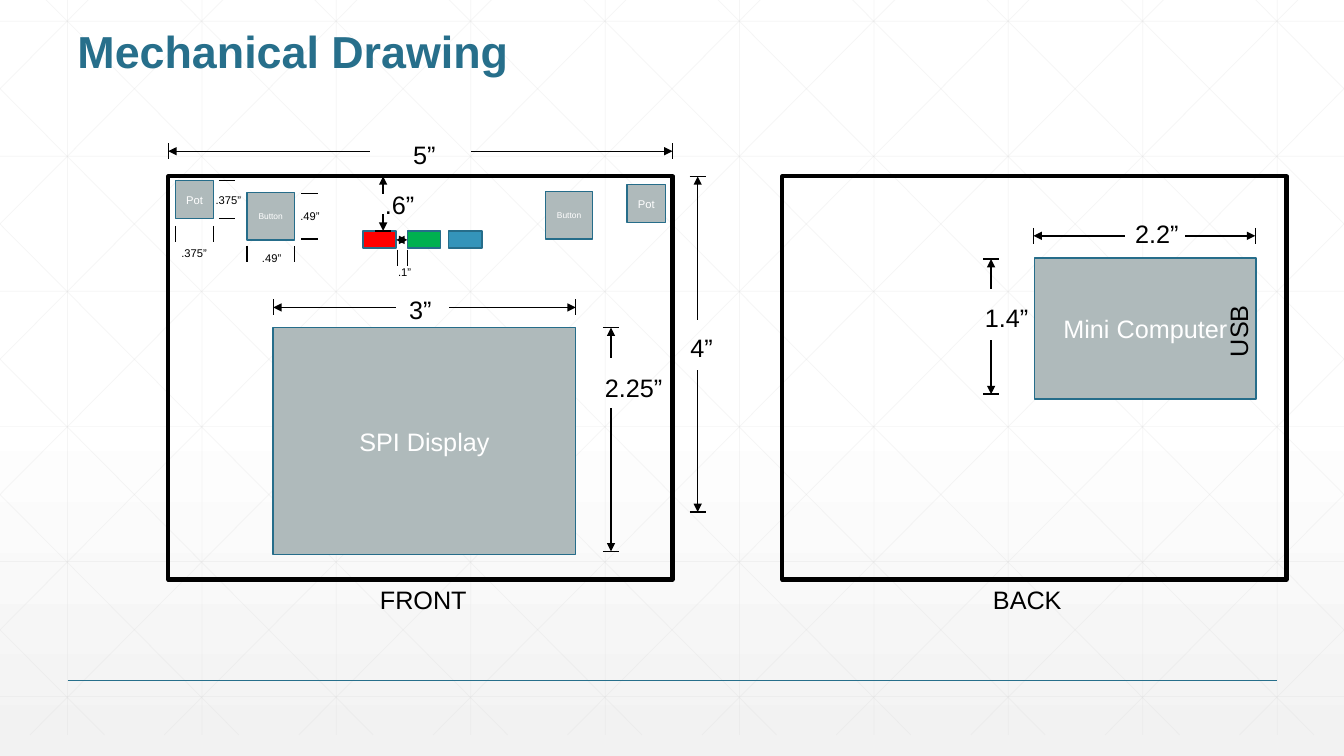
from lxml.etree import SubElement
from pptx import Presentation
from pptx.dml.color import RGBColor
from pptx.enum.shapes import MSO_CONNECTOR, MSO_SHAPE
from pptx.enum.text import MSO_ANCHOR, PP_ALIGN
from pptx.oxml.ns import qn
from pptx.util import Inches, Pt

WIDTH, HEIGHT = 13.33, 7.5
BLACK = RGBColor(0x00, 0x00, 0x00)
WHITE = RGBColor(0xFF, 0xFF, 0xFF)
PALE = RGBColor(0xF2, 0xF2, 0xF2)
GRID = RGBColor(0xD9, 0xD9, 0xD9)
TEAL = RGBColor(0x27, 0x6F, 0x8B)
EDGE = RGBColor(0x26, 0x6D, 0x8A)
PART = RGBColor(0xAF, 0xBA, 0xBB)
RED = RGBColor(0xFF, 0x00, 0x00)
GREEN = RGBColor(0x00, 0xB0, 0x50)
BLUE = RGBColor(0x34, 0x94, 0xBA)
TICK = 0.08


def add_line(slide, start, end, color=BLACK, weight=1, ends=(), opacity=None):
    """Draw a straight line, with arrowheads at the named ends."""
    line = slide.shapes.add_connector(
        MSO_CONNECTOR.STRAIGHT, *(Inches(value) for value in (*start, *end)))
    line.line.color.rgb = color
    line.line.width = Pt(weight)
    properties = line.element.spPr
    outline = properties.find(qn("a:ln"))
    if opacity is not None:
        tint = outline.find(qn("a:solidFill")).find(qn("a:srgbClr"))
        SubElement(tint, qn("a:alpha"), val=str(opacity * 1000))
    for end_name in ends:
        SubElement(outline, qn(f"a:{end_name}"), type="triangle")
    SubElement(properties, qn("a:effectLst"))


def add_run(paragraph, text, size, color, bold=False):
    """Append one run of Arial text."""
    run = paragraph.add_run()
    run.text = text
    run.font.name = "Arial"
    run.font.size = Pt(size)
    run.font.color.rgb = color
    run.font.bold = bold


def add_label(slide, text, left, top, width, size=18, rotation=0):
    """Write a one-line black label."""
    label = slide.shapes.add_textbox(
        Inches(left), Inches(top), Inches(width), Inches(0.1 + size / 60))
    label.rotation = rotation
    label.text_frame.word_wrap = False
    add_run(label.text_frame.paragraphs[0], text, size, BLACK)


def add_part(slide, left, top, width, height, text="", size=18, fill=PART):
    """Draw a mounted part with its name centred."""
    part = slide.shapes.add_shape(
        MSO_SHAPE.RECTANGLE, Inches(left), Inches(top), Inches(width), Inches(height))
    part.shadow.inherit = False
    part.fill.solid()
    part.fill.fore_color.rgb = fill
    part.line.color.rgb = EDGE
    part.line.width = Pt(1)
    if text:
        frame = part.text_frame
        frame.margin_left = frame.margin_right = 0
        frame.word_wrap = True
        frame.vertical_anchor = MSO_ANCHOR.MIDDLE
        frame.paragraphs[0].alignment = PP_ALIGN.CENTER
        add_run(frame.paragraphs[0], text, size, WHITE)


def add_outline(slide, left, top, width, height, name, name_left, name_width):
    """Draw the edge of a board with its side named below."""
    board = slide.shapes.add_shape(
        MSO_SHAPE.RECTANGLE, Inches(left), Inches(top), Inches(width), Inches(height))
    board.shadow.inherit = False
    board.fill.background()
    board.line.color.rgb = BLACK
    board.line.width = Pt(3)
    add_label(slide, name, left + name_left, top + height, name_width)


def add_dimension(slide, left, top, length, gap=None, vertical=False):
    """Mark a length by end ticks, and by arrows around a gap if one is given."""
    def place(along, across=0):
        return (left + across, top + along) if vertical else (left + along, top + across)

    for along in (0, length):
        add_line(slide, place(along, -TICK), place(along, TICK))
    if gap:
        for along, inner in zip((0, length), gap):
            add_line(slide, place(along), place(inner), ends=("headEnd",))


def add_backdrop(slide, width, height):
    """Paint the gradient and the faint grid with diagonals both ways."""
    fill = slide.background.fill
    fill.gradient()
    fill.gradient_angle = 270
    for stop, position, color in zip(fill.gradient_stops, (0.53, 1), (WHITE, PALE)):
        stop.position = position
        stop.color.rgb = color

    def grid_line(start, end):
        add_line(slide, start, end, GRID, 0.5, opacity=25)

    top, bottom, step = -0.21, height - 0.21, width / 10
    run = 7.45
    slope = height / run
    for column in range(10):
        x = 0.67 + column * step
        grid_line((x, top), (x, bottom))
    for row in range(6):
        y = 0.21 + row * 1.34
        grid_line((0, y), (width, y))
    for column in range(-5, 10):
        x = 0.25 + column * step
        first, last = max(x, 0), min(x + run, width)
        first_y, last_y = (top + (edge - x) * slope for edge in (first, last))
        grid_line((first, first_y), (last, last_y))
        grid_line((width - first, first_y), (width - last, last_y))


def add_heading(slide, left, top, width, height):
    """Write the title and draw the rule at the foot."""
    title = slide.shapes.add_textbox(
        Inches(left), Inches(top), Inches(width), Inches(height))
    title.text_frame.word_wrap = True
    paragraph = title.text_frame.paragraphs[0]
    paragraph.line_spacing = 0.9
    add_run(paragraph, "Mechanical Drawing", 32, TEAL, bold=True)
    add_line(slide, (left, top + 6.5), (left + width, top + 6.5), TEAL)


def add_front(slide, left, top, width, height):
    """Draw the front of the board: controls, lights and display."""
    add_outline(slide, left, top, width, height, "FRONT", 2, 1.07)
    for x, y, side, name, size in (
            (0.07, 0.04, 0.38, "Pot", 8), (4.55, 0.08, 0.38, "Pot", 8),
            (0.78, 0.16, 0.47, "Button", 6), (3.74, 0.15, 0.47, "Button", 6)):
        add_part(slide, left + x, top + y, side, side, name, size)
    for x, color in ((1.93, RED), (2.37, GREEN), (2.78, BLUE)):
        add_part(slide, left + x, top + 0.54, 0.33, 0.17, fill=color)
    add_part(slide, left + 1.04, top + 1.5, 3, 2.25, "SPI Display")

    for x, y, length, gap, vertical in (
            (0, -0.25, width, (2, 3), False),
            (5.25, 0, 3.33, (1.42, 1.92), True),
            (2.13, 0, 0.54, (0.17, 0.37), True),
            (1.04, 1.3, 3, (1.22, 1.74), False),
            (4.39, 1.5, 2.22, (0.3, 0.8), True),
            (0.07, 0.57, 0.38, None, False), (0.58, 0.04, 0.38, None, True),
            (0.78, 0.77, 0.47, None, False), (1.4, 0.17, 0.45, None, True),
            (2.27, 0.81, 0.1, None, False)):
        add_dimension(slide, left + x, top + y, length, gap, vertical)
    add_line(slide, (left + 2.26, top + 0.63), (left + 2.37, top + 0.63),
             weight=0.5, ends=("headEnd", "tailEnd"))

    for text, x, y, label_width, size in (
            ("5”", 2.33, -0.42, 0.43, 18), ("4”", 5.08, 1.5, 0.43, 18),
            (".6”", 2.05, 0.08, 0.5, 18), ("3”", 2.29, 1.12, 0.43, 18),
            ("2.25”", 4.23, 1.89, 0.78, 18), (".1”", 2.18, 0.83, 0.33, 8),
            (".375”", 0.03, 0.64, 0.47, 8), (".375”", 0.37, 0.12, 0.47, 8),
            (".49”", 1.21, 0.28, 0.4, 8), (".49”", 0.83, 0.69, 0.4, 8)):
        add_label(slide, text, left + x, top + y, label_width, size)


def add_back(slide, left, top, width, height):
    """Draw the back of the board with its computer module."""
    add_outline(slide, left, top, width, height, "BACK", 1.99, 0.89)
    add_part(slide, left + 2.5, top + 0.81, 2.2, 1.4, "Mini Computer")
    add_label(slide, "USB", left + 4.16, top + 1.33, 0.72, rotation=270)
    add_dimension(slide, left + 2.49, top + 0.59, 2.2, (0.91, 1.5))
    add_label(slide, "2.2”", left + 3.4, top + 0.37, 0.64)
    add_dimension(slide, left + 2.07, top + 0.82, 1.34, (0.3, 0.8), vertical=True)
    add_label(slide, "1.4”", left + 1.91, top + 1.2, 0.64)


def main():
    """Build the slide and save it."""
    deck = Presentation()
    deck.slide_width, deck.slide_height = Inches(WIDTH), Inches(HEIGHT)
    slide = deck.slides.add_slide(deck.slide_layouts[6])
    add_backdrop(slide, WIDTH, HEIGHT)
    add_heading(slide, 0.67, 0.25, 12, 1)
    add_front(slide, 1.67, 1.75, 5, 4)
    add_back(slide, 7.76, 1.75, 5, 4)
    deck.save("out.pptx")


main()
